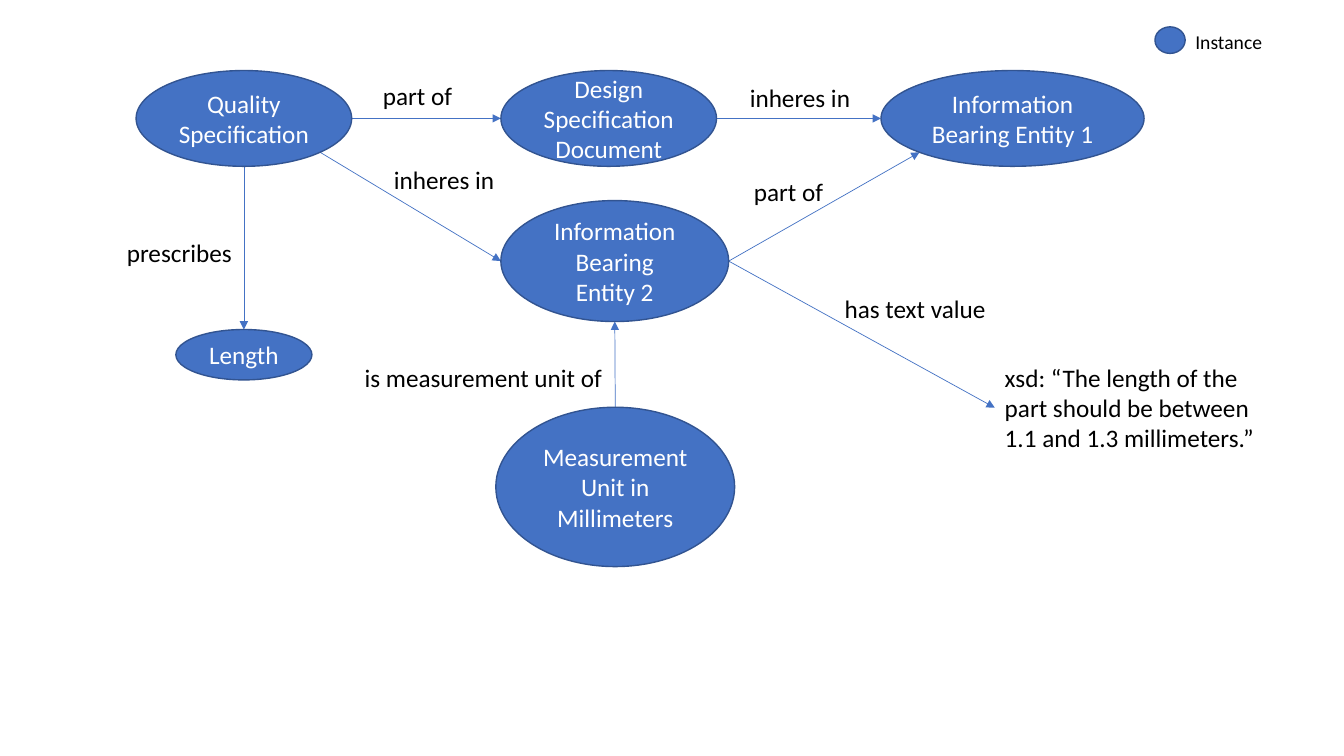
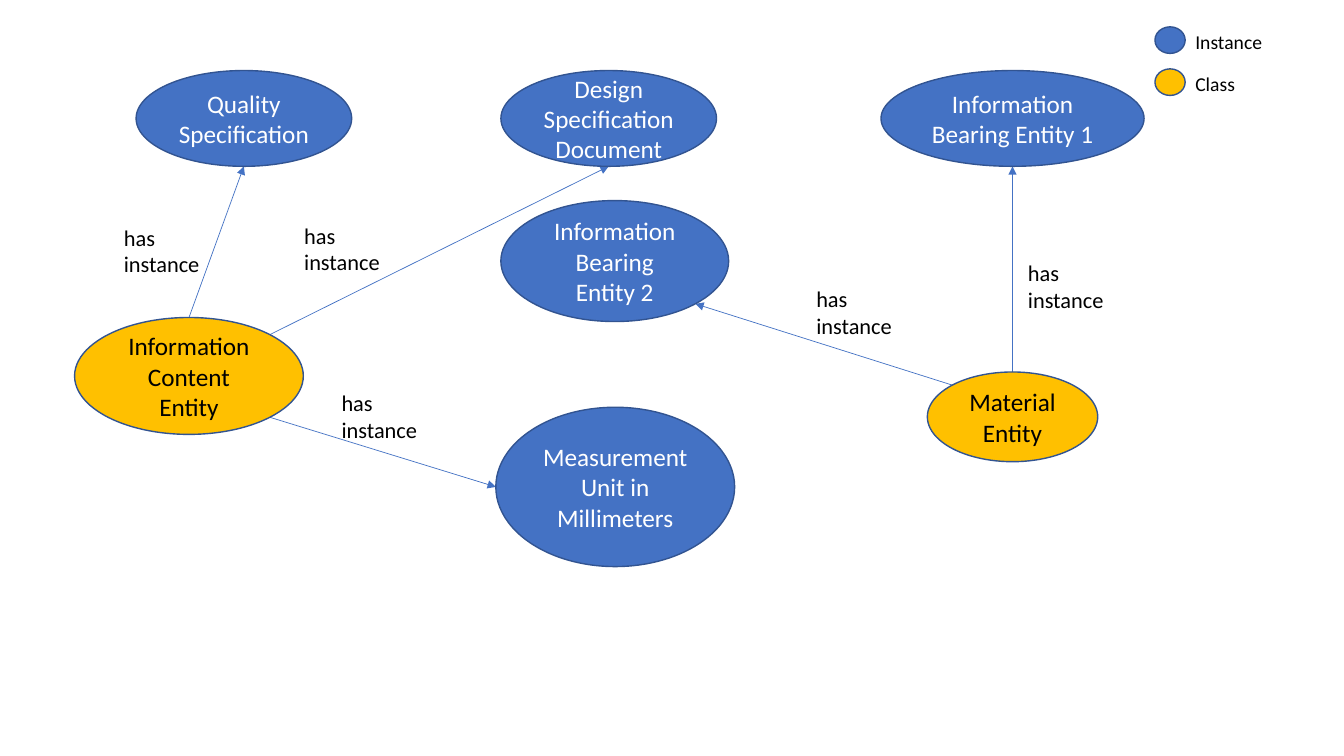
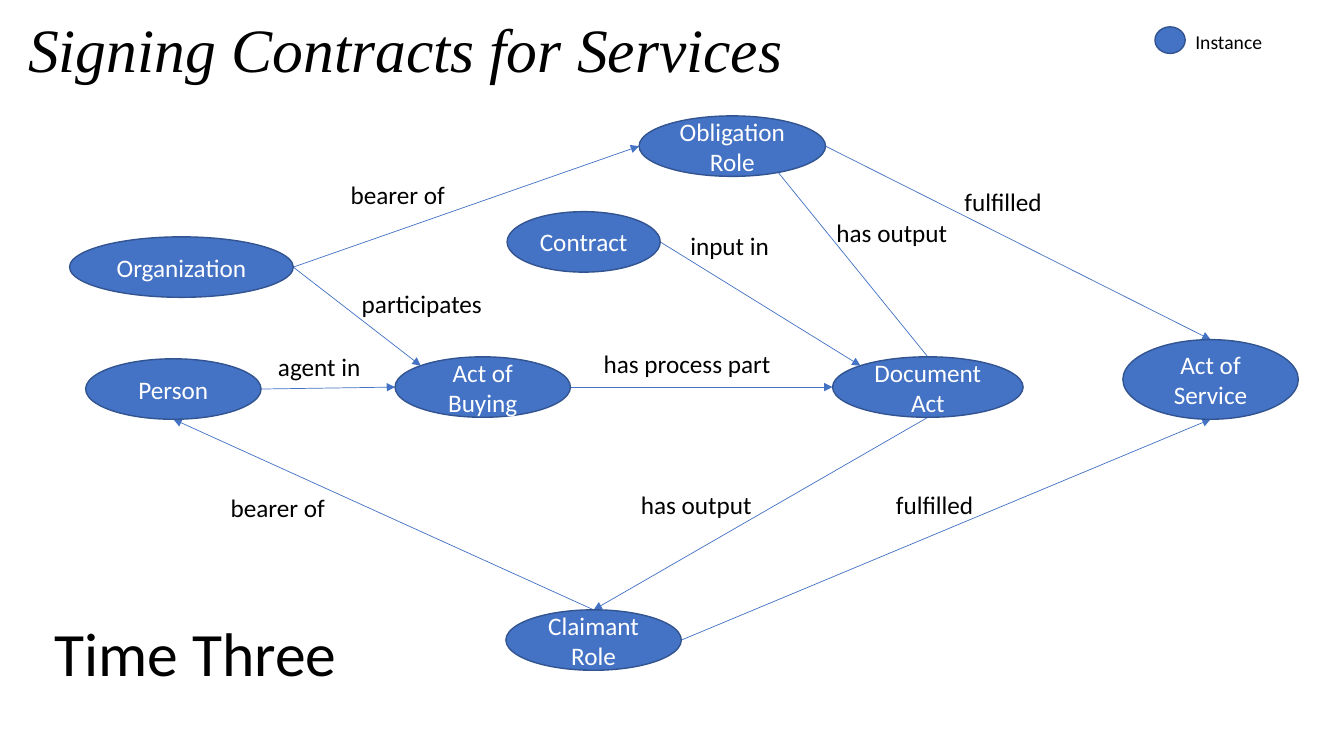
from math import sqrt
from typing import NamedTuple

from lxml.etree import SubElement
from pptx import Presentation
from pptx.dml.color import RGBColor
from pptx.enum.shapes import MSO_CONNECTOR, MSO_SHAPE
from pptx.enum.text import MSO_ANCHOR, PP_ALIGN
from pptx.oxml.ns import qn
from pptx.util import Pt


class Box(NamedTuple):
    """A rectangle in points."""

    left: float
    top: float
    width: float
    height: float

    def inside(self, outer):
        """Return this box moved to the corner of an outer box."""
        return Box(outer.left + self.left, outer.top + self.top, self.width, self.height)

    def lengths(self):
        """Return the four sides as lengths."""
        return [Pt(value) for value in self]


BLUE, GOLD, OUTLINE = "4472C4", "FFC000", "325491"
BLACK, WHITE = "000000", "FFFFFF"
FONT, TITLE_FONT = "Calibri", "Times New Roman"
CANVAS = Box(0, 0, 960, 540)
LEGEND = Box(825, 18, 84, 55)
LEGEND_STEP = 30
LABEL_HEIGHT = 29

DIAGONAL = sqrt(0.5) / 2
SITES = {
    "top": (0.5, 0), "bottom": (0.5, 1), "left": (0, 0.5), "right": (1, 0.5),
    "top left": (0.5 - DIAGONAL, 0.5 - DIAGONAL),
    "bottom right": (0.5 + DIAGONAL, 0.5 + DIAGONAL),
    "top right": (0.5 + DIAGONAL, 0.5 - DIAGONAL),
    "bottom left": (0.5 - DIAGONAL, 0.5 + DIAGONAL),
}

SPECIFICATION_NODES = {
    "Quality Specification": Box(97.2, 50.4, 154, 68.4),
    "Design Specification Document": Box(357.8, 50.4, 154, 68.4),
    "Information Bearing Entity 1": Box(629.3, 50.4, 187.9, 68.4),
    "Information Bearing Entity 2": Box(357.8, 143.3, 162.7, 86.4),
    "Measurement Unit in Millimeters": Box(354.2, 290.9, 170.6, 113.8),
}
LENGTH_NODE = {"Length": Box(125.6, 235.4, 97.2, 36)}
CLASS_NODES = {
    "Material Entity": Box(662.4, 265.7, 121.7, 64.1),
    "Information Content Entity": Box(53.3, 226.8, 163.4, 83.5),
}
TEXT_VALUE = "xsd: “The length of the part should be between 1.1 and 1.3 millimeters.”"
TEXT_VALUE_BOX = Box(710.6, 254.9, 212.4, 72.7)
RELATION_ARROWS = [
    ("Quality Specification", "bottom", "Length", "top"),
    ("Quality Specification", "right", "Design Specification Document", "left"),
    ("Design Specification Document", "right", "Information Bearing Entity 1", "left"),
    ("Quality Specification", "bottom right", "Information Bearing Entity 2", "left"),
    ("Measurement Unit in Millimeters", "top", "Information Bearing Entity 2", "bottom"),
    ("Information Bearing Entity 2", "right", TEXT_VALUE, "left"),
    ("Information Bearing Entity 2", "right", "Information Bearing Entity 1", "bottom left"),
]
RELATION_LABELS = [
    ("part of", 266.4, 54, 65), ("prescribes", 83.5, 166.3, 90),
    ("inheres in", 528.5, 55.4, 87), ("inheres in", 274.3, 113.8, 87),
    ("part of", 531.4, 122.4, 65), ("has text value", 596.2, 205.9, 116.6),
    ("is measurement unit of", 253.4, 254.9, 185.8),
]

INSTANCE_ARROWS = [
    ("Information Content Entity", "top right", "Design Specification Document", "bottom"),
    ("Information Content Entity", "top", "Quality Specification", "bottom"),
    ("Information Content Entity", "bottom right", "Measurement Unit in Millimeters", "left"),
    ("Material Entity", "top left", "Information Bearing Entity 2", "bottom right"),
    ("Material Entity", "top", "Information Bearing Entity 1", "bottom"),
]
INSTANCE_LABEL_CORNERS = [
    (81.4, 156.2), (576, 200.2), (210.2, 154.8), (236.9, 274.3), (727.2, 181.4),
]

CONTRACT_NODES = {
    "Person": Box(61.2, 256.3, 125.3, 43.2),
    "Act of Buying": Box(282.2, 254.9, 125.3, 43.2),
    "Claimant Role": Box(361.4, 435.6, 125.3, 43.2),
    "Document Act": Box(594.7, 254.9, 136.1, 43.2),
    "Obligation Role": Box(456.5, 82.8, 133.2, 43.2),
    "Organization": Box(49.7, 169.2, 159.8, 43.2),
    "Contract": Box(362.2, 151.2, 109.4, 43.2),
    "Act of Service": Box(802.1, 242.6, 125.3, 56.9),
}
CONTRACT_ARROWS = [
    ("Person", "right", "Act of Buying", "left"),
    ("Document Act", "bottom", "Claimant Role", "top"),
    ("Act of Buying", "right", "Document Act", "left"),
    ("Document Act", "top", "Obligation Role", "top"),
    ("Organization", "right", "Obligation Role", "left"),
    ("Claimant Role", "top", "Person", "bottom"),
    ("Contract", "right", "Document Act", "top left"),
    ("Organization", "right", "Act of Buying", "top left"),
    ("Obligation Role", "right", "Act of Service", "top"),
    ("Claimant Role", "right", "Act of Service", "bottom"),
]
CONTRACT_LABELS = [
    ("agent in", 191.5, 247.7, 74.2), ("has process part", 424.1, 245.5, 135.4),
    ("bearer of", 243.4, 124.6, 82.8), ("bearer of", 157.7, 347.8, 82.8),
    ("input in", 486, 161.3, 71.3), ("participates", 251.3, 202.3, 101.5),
    ("has output", 590.4, 151.9, 94.3), ("has output", 450.7, 346.3, 94.3),
    ("fulfilled", 681.8, 129.6, 70.6), ("fulfilled", 632.9, 346.3, 70.6),
]


def color(value):
    """Turn a hex string into a colour."""
    return RGBColor.from_string(value)


def write(shape, text, size, text_color, name=FONT, italic=False):
    """Put one paragraph of text in a shape and return the paragraph."""
    paragraph = shape.text_frame.paragraphs[0]
    paragraph.text = text
    font = paragraph.font
    font.name, font.size, font.italic = name, Pt(size), italic
    font.color.rgb = color(text_color)
    return paragraph


def add_text(slide, box, text, size=18, wrap=True, name=FONT, italic=False):
    """Add a black text box."""
    shape = slide.shapes.add_textbox(*box.lengths())
    shape.text_frame.word_wrap = wrap
    write(shape, text, size, BLACK, name, italic)


def add_ellipse(slide, box, fill):
    """Add an outlined ellipse."""
    shape = slide.shapes.add_shape(MSO_SHAPE.OVAL, *box.lengths())
    shape.shadow.inherit = False
    shape.fill.solid()
    shape.fill.fore_color.rgb = color(fill)
    shape.line.color.rgb = color(OUTLINE)
    shape.line.width = Pt(1)
    return shape


def add_node(slide, box, text, fill, text_color):
    """Add an ellipse with centred text."""
    shape = add_ellipse(slide, box, fill)
    shape.text_frame.word_wrap = True
    shape.text_frame.vertical_anchor = MSO_ANCHOR.MIDDLE
    write(shape, text, 18, text_color).alignment = PP_ALIGN.CENTER


def site_point(box, site):
    """Return the point of a named connection site on a box."""
    across, down = SITES[site]
    return Pt(box.left + across * box.width), Pt(box.top + down * box.height)


def add_arrow(slide, start, end):
    """Add a thin straight arrow between two points."""
    connector = slide.shapes.add_connector(MSO_CONNECTOR.STRAIGHT, *start, *end)
    connector.line.color.rgb = color(BLUE)
    connector.line.width = Pt(0.5)
    SubElement(connector.line._get_or_add_ln(), qn("a:tailEnd"), type="triangle")
    SubElement(connector._element.spPr, qn("a:effectLst"))


def draw_diagram(slide, area, instances, classes, arrows, targets=None):
    """Draw the arrows and nodes of a diagram within an area."""
    boxes = {**instances, **classes, **(targets or {})}
    boxes = {text: box.inside(area) for text, box in boxes.items()}
    for source, source_site, target, target_site in arrows:
        add_arrow(slide, site_point(boxes[source], source_site),
                  site_point(boxes[target], target_site))
    for nodes, fill, text_color in ((instances, BLUE, WHITE), (classes, GOLD, BLACK)):
        for text in nodes:
            add_node(slide, boxes[text], text, fill, text_color)


def draw_labels(slide, area, labels):
    """Write one-line arrow labels within an area."""
    for text, left, top, width in labels:
        add_text(slide, Box(left, top, width, LABEL_HEIGHT).inside(area), text, wrap=False)


def draw_legend(slide, area, entries):
    """Draw the colour key, one row for each entry."""
    for row, (text, fill, width) in enumerate(entries):
        top = row * LEGEND_STEP
        add_ellipse(slide, Box(0, top + 1.2, 21.6, 19).inside(area), fill)
        add_text(slide, Box(21.7, top, width, 24.5).inside(area), text, 14, wrap=False)


def build_relations(slide, area):
    """Build the slide on relations between instances."""
    draw_diagram(slide, area, {**SPECIFICATION_NODES, **LENGTH_NODE}, {},
                 RELATION_ARROWS, {TEXT_VALUE: TEXT_VALUE_BOX})
    draw_labels(slide, area, RELATION_LABELS)
    add_text(slide, TEXT_VALUE_BOX.inside(area), TEXT_VALUE)


def build_classes(slide, area):
    """Build the slide on classes and their instances."""
    draw_diagram(slide, area, SPECIFICATION_NODES, CLASS_NODES, INSTANCE_ARROWS)
    for left, top in INSTANCE_LABEL_CORNERS:
        add_text(slide, Box(left, top, 82.1, 46).inside(area), "has instance", 16)


def build_contracts(slide, area):
    """Build the slide on signing contracts."""
    add_text(slide, Box(13, 4.3, 801.4, 60.5).inside(area), "Signing Contracts for Services",
             44, name=TITLE_FONT, italic=True)
    draw_diagram(slide, area, CONTRACT_NODES, {}, CONTRACT_ARROWS)
    draw_labels(slide, area, CONTRACT_LABELS)
    add_text(slide, Box(31.7, 435.6, 272.9, 60.5).inside(area), "Time Three", 44)


def main():
    """Build and save the presentation."""
    presentation = Presentation()
    presentation.slide_width = Pt(CANVAS.width)
    presentation.slide_height = Pt(CANVAS.height)
    instance_entry, class_entry = ("Instance", BLUE, 62.6), ("Class", GOLD, 43.2)
    for build, entries in (
        (build_relations, [instance_entry]),
        (build_classes, [instance_entry, class_entry]),
        (build_contracts, [instance_entry]),
    ):
        slide = presentation.slides.add_slide(presentation.slide_layouts[6])
        build(slide, CANVAS)
        draw_legend(slide, LEGEND, entries)
    presentation.save("out.pptx")


if __name__ == "__main__":
    main()
